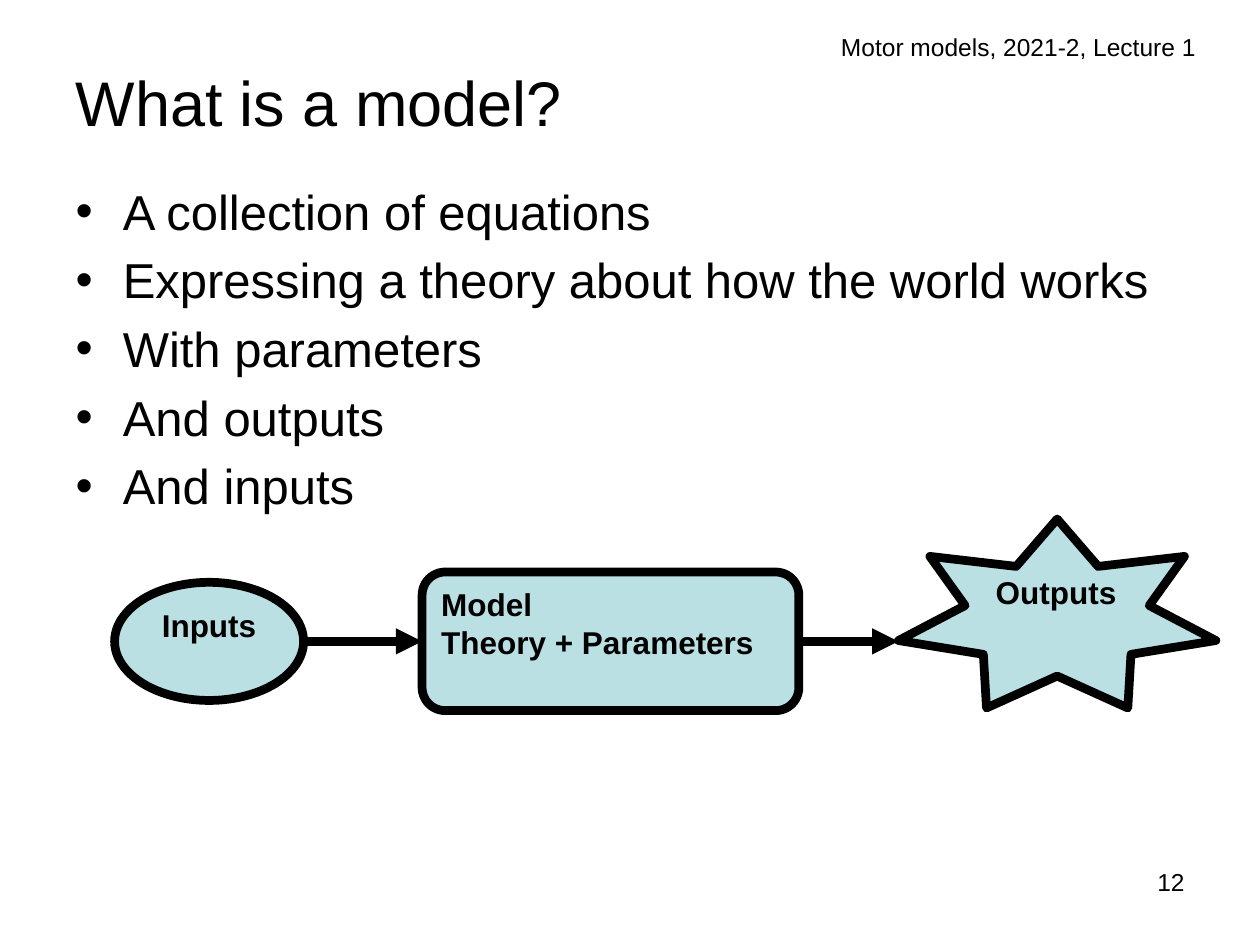
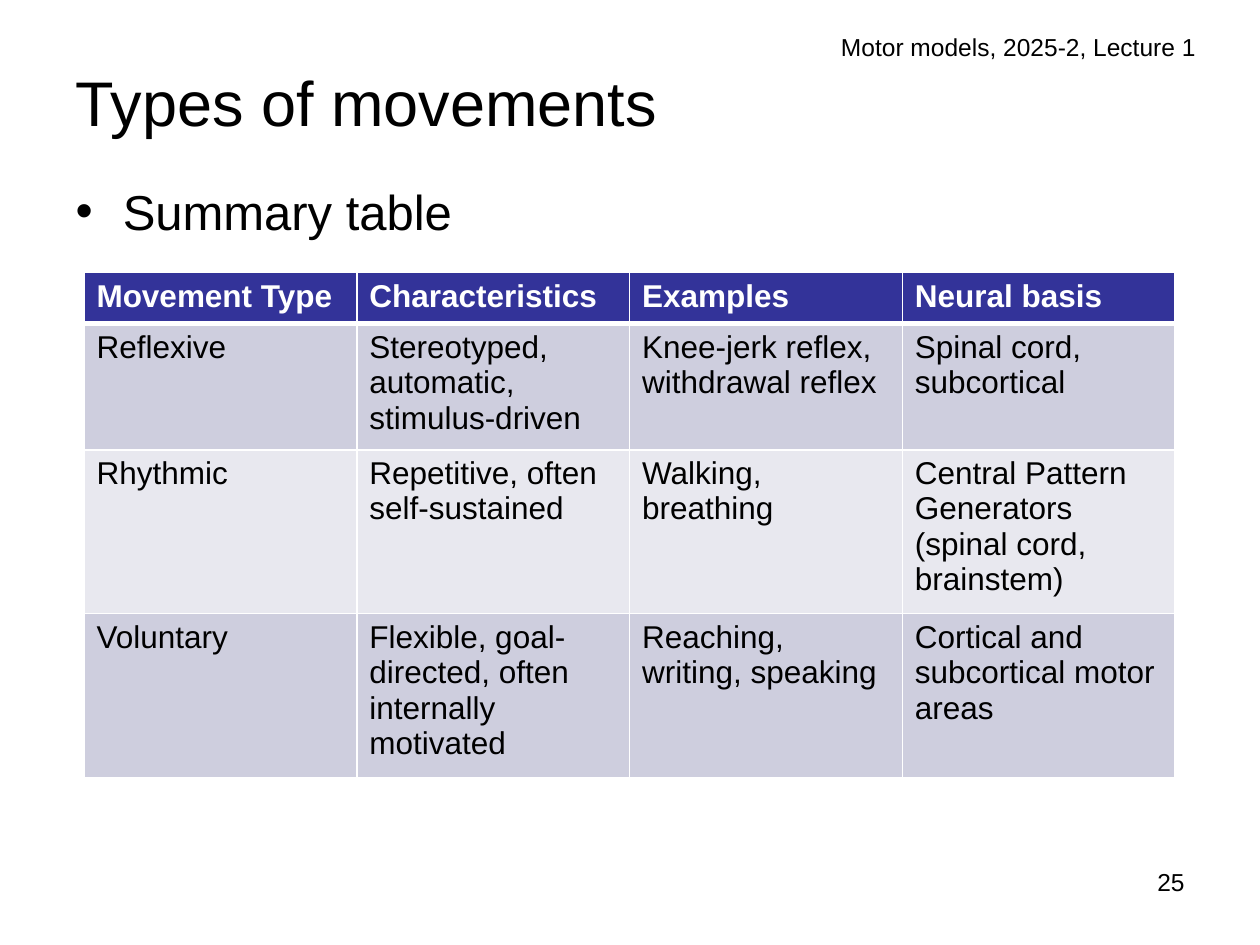
from dataclasses import dataclass

from lxml import etree
from pptx import Presentation
from pptx.dml.color import RGBColor
from pptx.enum import shapes, text
from pptx.oxml import ns
from pptx.util import Pt

BLACK = RGBColor(0x00, 0x00, 0x00)
WHITE = RGBColor(0xFF, 0xFF, 0xFF)
TEAL = RGBColor(0xBB, 0xE0, 0xE3)
NAVY = RGBColor(0x33, 0x33, 0x99)
LILAC = RGBColor(0xCE, 0xCE, 0xDE)
PALE = RGBColor(0xE8, 0xE8, 0xEF)
FONT = "Arial"
LEFT, MID, RIGHT = text.PP_ALIGN.LEFT, text.PP_ALIGN.CENTER, text.PP_ALIGN.RIGHT
SHAPE = shapes.MSO_SHAPE
WEIGHT = 5  # outline and arrow width
AXIS = 366.5  # height at which the arrows run


@dataclass
class Box:
    left: float
    top: float
    width: float
    height: float

    def dims(self) -> tuple:
        return Pt(self.left), Pt(self.top), Pt(self.width), Pt(self.height)


@dataclass
class Node:
    kind: SHAPE
    box: Box
    lines: list
    align: text.PP_ALIGN = LEFT


TITLE = Box(36, 27, 432, 61.2)
HEAD = Box(468, 15, 228, 37.5)
PAGE = Box(516, 492, 168, 37.5)
TABLE = Box(48, 155.5, 623.6, 118)

NODES = [
    Node(SHAPE.FLOWCHART_CONNECTOR, Box(65.5, 332.75, 108, 67.5), ["Inputs"], MID),
    Node(SHAPE.FLOWCHART_ALTERNATE_PROCESS, Box(241.2, 326.9, 215.3, 79.2),
         ["Model", "Theory + Parameters"]),
    Node(SHAPE.STAR_7_POINT, Box(513.4, 296.6, 181.4, 108), ["Outputs"]),
]

ROWS = [
    ["Movement Type", "Characteristics", "Examples", "Neural basis"],
    ["Reflexive", "Stereotyped, automatic, stimulus-driven",
     "Knee-jerk reflex, withdrawal reflex", "Spinal cord, subcortical"],
    ["Rhythmic", "Repetitive, often self-sustained", "Walking, breathing",
     "Central Pattern Generators (spinal cord, brainstem)"],
    ["Voluntary", "Flexible, goal-directed, often internally motivated",
     "Reaching, writing, speaking", "Cortical and subcortical motor areas"],
]


def write(frame, lines: list, size: float, align=LEFT, color=BLACK, bold=False) -> None:
    """Fill a text frame, one paragraph per line."""
    frame.word_wrap = True
    for i, line in enumerate(lines):
        para = frame.add_paragraph() if i else frame.paragraphs[0]
        para.alignment = align
        run = para.add_run()
        run.text = line
        font = run.font
        font.name, font.size, font.bold = FONT, Pt(size), bold
        font.color.rgb = color


def place(shape, box: Box) -> None:
    shape.left, shape.top, shape.width, shape.height = box.dims()


def add_page(deck, title: str, items: list, deep: float, head: str, num: str):
    """Add a slide with title, list, running head and page number."""
    page = deck.slides.add_slide(deck.slide_layouts[1])
    name, body = page.placeholders
    place(name, TITLE)
    place(body, Box(36, 100, 648, deep))
    for shape, lines, size in ((name, [title], 36), (body, items, 28)):
        shape.text_frame.auto_size = text.MSO_AUTO_SIZE.NONE
        write(shape.text_frame, lines, size)
    for box, label, align in ((HEAD, head, MID), (PAGE, num, RIGHT)):
        note = page.shapes.add_textbox(*box.dims())
        write(note.text_frame, [label], 14, align)
    return page


def add_node(page, node: Node):
    shape = page.shapes.add_shape(node.kind, *node.box.dims())
    shape.shadow.inherit = False
    shape.fill.solid()
    shape.fill.fore_color.rgb = TEAL
    shape.line.color.rgb = BLACK
    shape.line.width = Pt(WEIGHT)
    shape.text_frame.vertical_anchor = text.MSO_ANCHOR.TOP
    write(shape.text_frame, node.lines, 18, node.align, bold=True)
    return shape


def add_arrow(page, start: float, end: float):
    arrow = page.shapes.add_connector(
        shapes.MSO_CONNECTOR.STRAIGHT, Pt(start), Pt(AXIS), Pt(end), Pt(AXIS))
    arrow.line.color.rgb = BLACK
    arrow.line.width = Pt(WEIGHT)
    line = arrow.line._get_or_add_ln()
    etree.SubElement(line, ns.qn("a:tailEnd"), type="triangle")
    etree.SubElement(arrow._element.spPr, ns.qn("a:effectLst"))
    return arrow


def edge(cell, low: float) -> None:
    """Draw white borders; low is the width of the bottom one."""
    props = cell._tc.get_or_add_tcPr()
    for side, width in (("L", 1), ("R", 1), ("T", 1), ("B", low)):
        line = etree.SubElement(props, ns.qn(f"a:ln{side}"), w=str(Pt(width)))
        fill = etree.SubElement(line, ns.qn("a:solidFill"))
        etree.SubElement(fill, ns.qn("a:srgbClr"), val=str(WHITE))


def add_grid(page, rows: list) -> None:
    grid = page.shapes.add_table(len(rows), len(rows[0]), *TABLE.dims()).table
    for r, row in enumerate(rows):
        first = r == 0
        fill = NAVY if first else (LILAC if r % 2 else PALE)
        for c, label in enumerate(row):
            cell = grid.cell(r, c)
            edge(cell, 3 if first else 1)
            cell.fill.solid()
            cell.fill.fore_color.rgb = fill
            write(cell.text_frame, [label], 18,
                  color=WHITE if first else BLACK, bold=first)


def main() -> None:
    deck = Presentation()
    deck.slide_width, deck.slide_height = Pt(720), Pt(540)

    # Flow from inputs through the model to outputs
    page = add_page(deck, "What is a model?",
                    ["A collection of equations",
                     "Expressing a theory about how the world works",
                     "With parameters", "And outputs", "And inputs"],
                    209.5, "Motor models, 2021-2, Lecture 1", "12")
    source, model, star = [add_node(page, node) for node in NODES]
    star.adjustments[0] = 0.29
    gap = [source.left + source.width, model.left, model.left + model.width, star.left]
    feed = add_arrow(page, gap[0].pt if hasattr(gap[0], "pt") else gap[0] / Pt(1), gap[1] / Pt(1))
    feed.end_connect(model, 1)
    yield_ = add_arrow(page, gap[2] / Pt(1), gap[3] / Pt(1))
    yield_.begin_connect(model, 3)

    # Summary table
    page = add_page(deck, "Types of movements", ["Summary table"],
                    51, "Motor models, 2025-2, Lecture 1", "25")
    add_grid(page, ROWS)

    deck.save("out.pptx")


if __name__ == "__main__":
    main()
